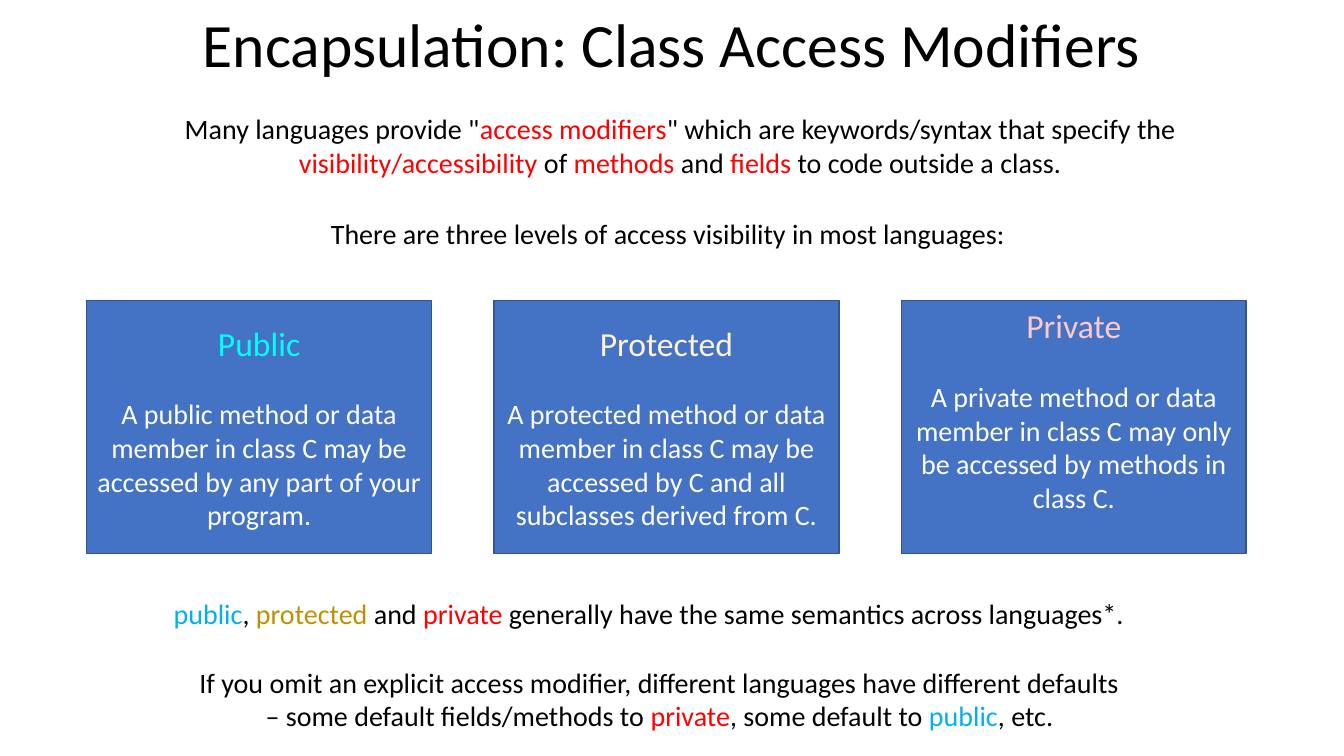
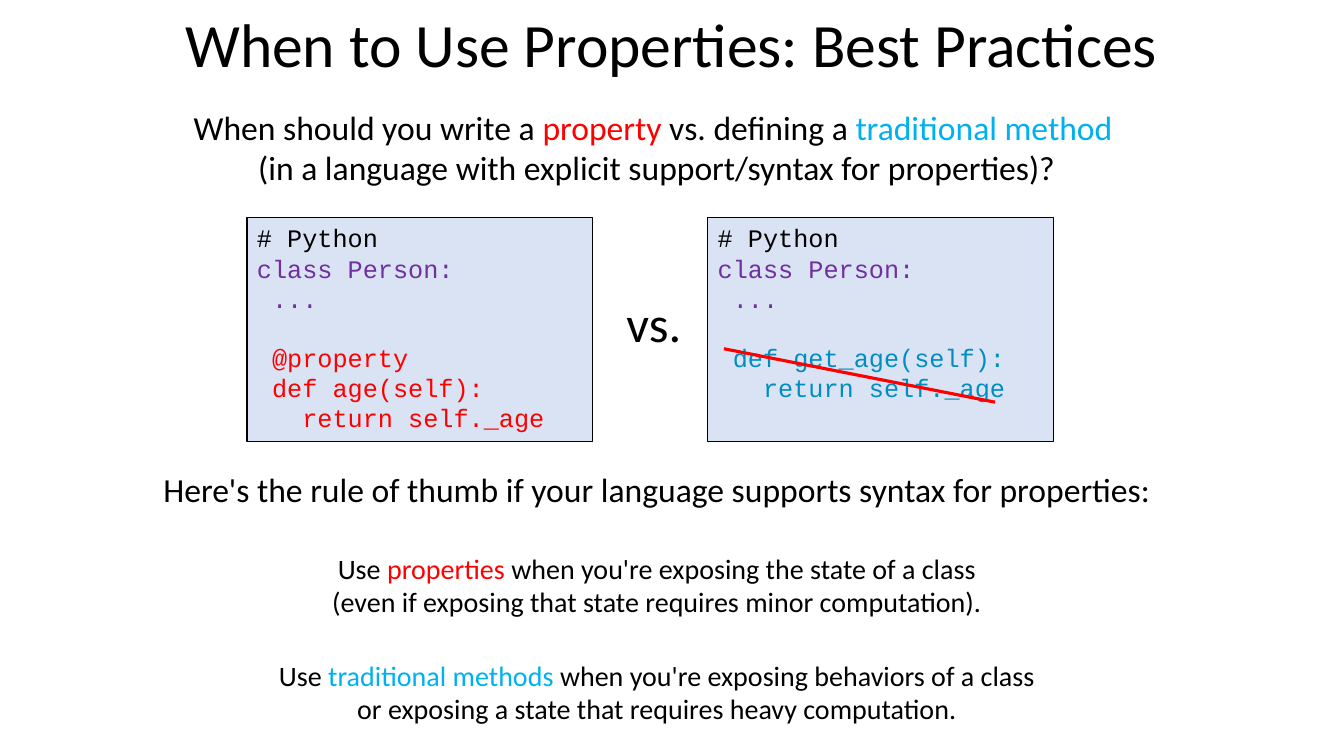
import pptx
import pptx.dml.color
import pptx.enum.shapes
import pptx.enum.text
import pptx.oxml.ns
import pptx.util
from lxml import etree

PX = 9144  # EMU; 100 px to the inch
SLIDE_W, SLIDE_H = 1333, 750
BODY, MONO = "Calibri", "Courier New"
C = {
    "black": "000000", "white": "FFFFFF", "red": "FF0000", "sky": "00B0F0",
    "gold": "BF9000", "purple": "7030A0", "teal": "008EC0",
    "card": "4472C4", "card_line": "325491", "code": "DAE3F3",
    "cyan": "00FFFF", "cream": "FFF2CC", "pink": "FFC9C9",
}
ALIGN = pptx.enum.text.PP_ALIGN
ANCHOR = pptx.enum.text.MSO_ANCHOR


def px(*lengths):
    return [pptx.util.Emu(n * PX) for n in lengths]


def rgb(name):
    return pptx.dml.color.RGBColor.from_string(C[name])


def write(p, runs, size, font=BODY, align=ALIGN.CENTER):
    """Fill a paragraph with (text, colour) runs; a plain string is black, "\\n" a line break."""
    p.alignment = align
    p.font.name, p.font.size = font, pptx.util.Pt(size)
    for run in runs:
        if run == "\n":
            p.add_line_break()
            continue
        text, colour = (run, "black") if isinstance(run, str) else run
        r = p.add_run()
        r.text = text
        r.font.color.rgb = rgb(colour)


def text(s, box, runs, size=20, wrap=True):
    tf = s.shapes.add_textbox(*px(*box)).text_frame
    tf.word_wrap = wrap
    write(tf.paragraphs[0], runs, size)


def panel(s, box, fill, line, width, anchor):
    """Draw an outlined rectangle and return its text frame."""
    sp = s.shapes.add_shape(pptx.enum.shapes.MSO_SHAPE.RECTANGLE, *px(*box))
    sp.shadow.inherit = False
    sp.fill.solid()
    sp.fill.fore_color.rgb = rgb(fill)
    sp.line.color.rgb = rgb(line)
    sp.line.width = pptx.util.Pt(width)
    tf = sp.text_frame
    tf.word_wrap = True
    tf.vertical_anchor = anchor
    return tf


def strike(s, x1, y1, x2, y2):
    cn = s.shapes.add_connector(
        pptx.enum.shapes.MSO_CONNECTOR.STRAIGHT, *px(x1, y1, x2, y2))
    cn.line.color.rgb = rgb("red")
    cn.line.width = pptx.util.Pt(2.25)
    sp_pr = cn._element.find(pptx.oxml.ns.qn("p:spPr"))
    etree.SubElement(sp_pr, pptx.oxml.ns.qn("a:effectLst"))


def titled_slide(prs, title):
    s = prs.slides.add_slide(prs.slide_layouts[6])
    text(s, (86, 1, 1161, 84), [title], 44)
    return s


def cards(s, box, items):
    """Lay (heading, colour, body, extra bottom inset) cards in a row with equal gaps."""
    x, y, w, h = box
    card_w = 342
    step = (w - card_w) // (len(items) - 1)
    for i, (heading, colour, body, lift) in enumerate(items):
        tf = panel(s, (x + i * step, y, card_w, h),
                   "card", "card_line", 1, ANCHOR.MIDDLE)
        tf.margin_bottom = px(5 + lift)[0]
        p = tf.paragraphs[0]
        p.space_after = pptx.util.Pt(24.4)
        write(p, [(heading, colour)], 24)
        write(tf.add_paragraph(), [(body, "white")], 20)


def code_panel(s, box, member, colour):
    """Show a class whose member lines stand one line below its head."""
    tf = panel(s, box, "code", "black", 0.75, ANCHOR.TOP)
    head = [("# Python", "black"), ("class Person:", "purple"), (" ...", "purple")]
    lines = head + [(line, colour) for line in member]
    for i, line in enumerate(lines):
        p = tf.add_paragraph() if i else tf.paragraphs[0]
        if i == len(head):
            p.space_before = pptx.util.Pt(20.4)
        write(p, [line], 18, MONO, ALIGN.LEFT)


def code_comparison(s, box, left, right):
    """Set two code panels side by side and strike out the right one's member."""
    x, y, w, h = box
    panel_w = 343
    right_x = x + w - panel_w
    code_panel(s, (x, y, panel_w, h), left, "red")
    code_panel(s, (right_x, y, panel_w, h), right, "teal")
    text(s, (x + 365, y + 69, 77, 71), ["vs."], 36, wrap=False)
    strike(s, right_x + 16, y + 130, right_x + 285, y + 183)


def access_modifiers(prs):
    s = titled_slide(prs, "Encapsulation: Class Access Modifiers")
    text(s, (129, 106, 1091, 77), [
        'Many languages provide "', ("access modifiers", "red"),
        '" which are keywords/syntax that specify the ',
        ("visibility/accessibility ", "red"), "of ", ("methods ", "red"),
        "and ", ("fields ", "red"), "to code outside a class."])
    text(s, (117, 210, 1091, 44),
         ["There are three levels of access visibility in most languages:"])
    cards(s, (86, 298, 1151, 251), [
        ("Public", "cyan", "A public method or data member in class C may be "
         "accessed by any part of your program.", 0),
        ("Protected", "cream", "A protected method or data member in class C may be "
         "accessed by C and all subclasses derived from C.", 0),
        ("Private", "pink", "A private method or data member in class C may only be "
         "accessed by methods in class C.", 34),
    ])
    text(s, (98, 587, 1091, 44), [
        ("public", "sky"), ", ", ("protected", "gold"), " and ", ("private", "red"),
        " generally have the same semantics across languages*."])
    text(s, (186, 655, 936, 77), [
        "If you omit an explicit access modifier, different languages have different "
        "defaults – some default fields/methods to ",
        ("private", "red"), ", some default to ", ("public", "sky"), ", etc."])


def property_practices(prs):
    s = titled_slide(prs, "When to Use Properties: Best Practices")
    text(s, (121, 101, 1061, 91), [
        "When should you write a ", ("property", "red"), " vs. defining a ",
        ("traditional method ", "sky"), "\n",
        "(in a language with explicit support/syntax for properties)?"], 24)
    code_comparison(
        s, (245, 216, 800, 222),
        [" @property", " def age(self):", "   return self._age"],
        [" def get_age(self):", "   return self._age"])
    text(s, (121, 460, 1061, 50), [
        "Here's the rule of thumb if your language supports syntax for properties:"], 24)
    text(s, (295, 542, 713, 77), [
        "Use ", ("properties", "red"), " when you're exposing the state of a class "
        "(even if exposing that state requires minor computation)."])
    text(s, (260, 648, 783, 77), [
        "Use ", ("traditional methods ", "sky"), "when you're exposing behaviors of a "
        "class or exposing a state that requires heavy computation."])


def main():
    prs = pptx.Presentation()
    prs.slide_width, prs.slide_height = px(SLIDE_W, SLIDE_H)
    access_modifiers(prs)
    property_practices(prs)
    prs.save("out.pptx")


if __name__ == "__main__":
    main()
